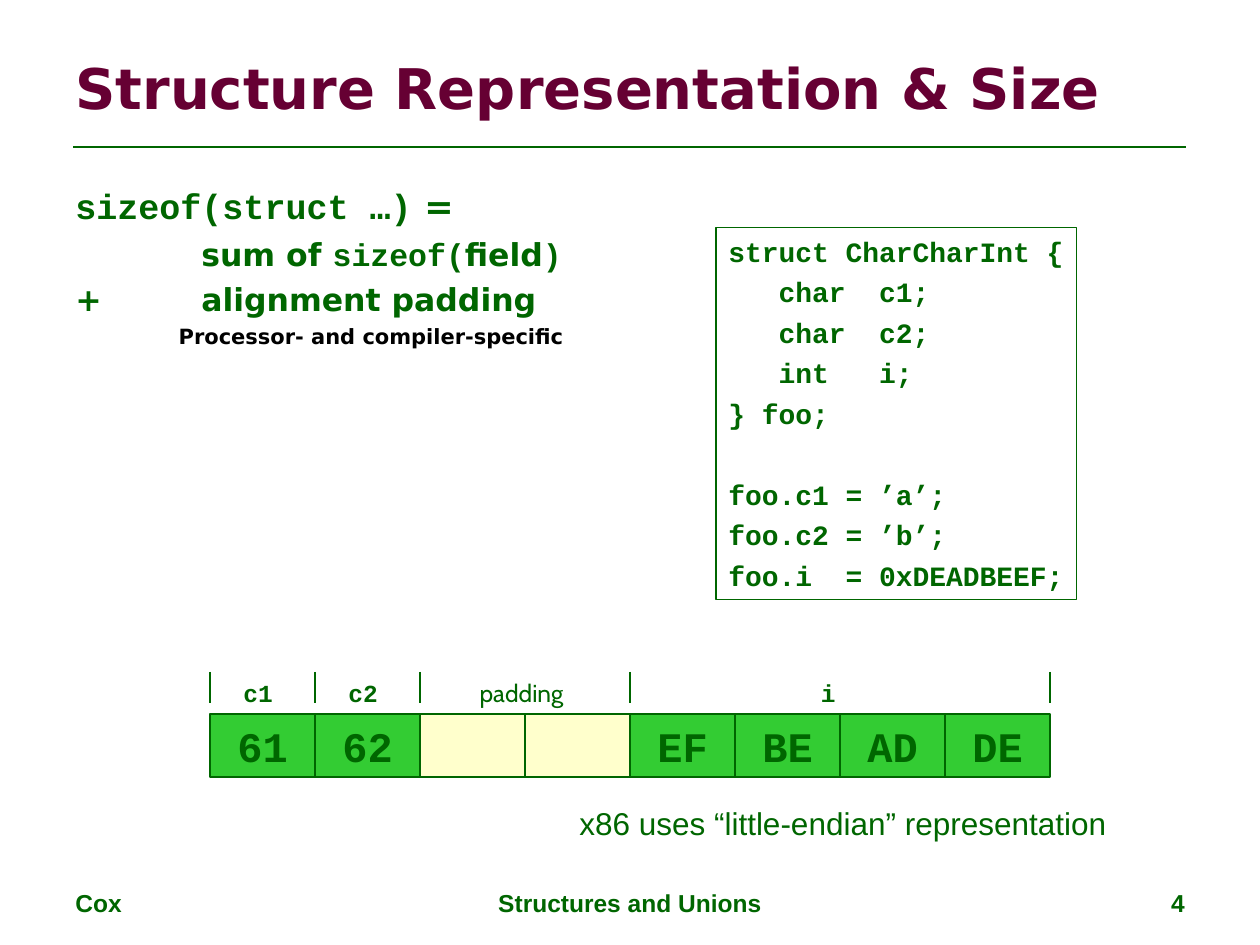
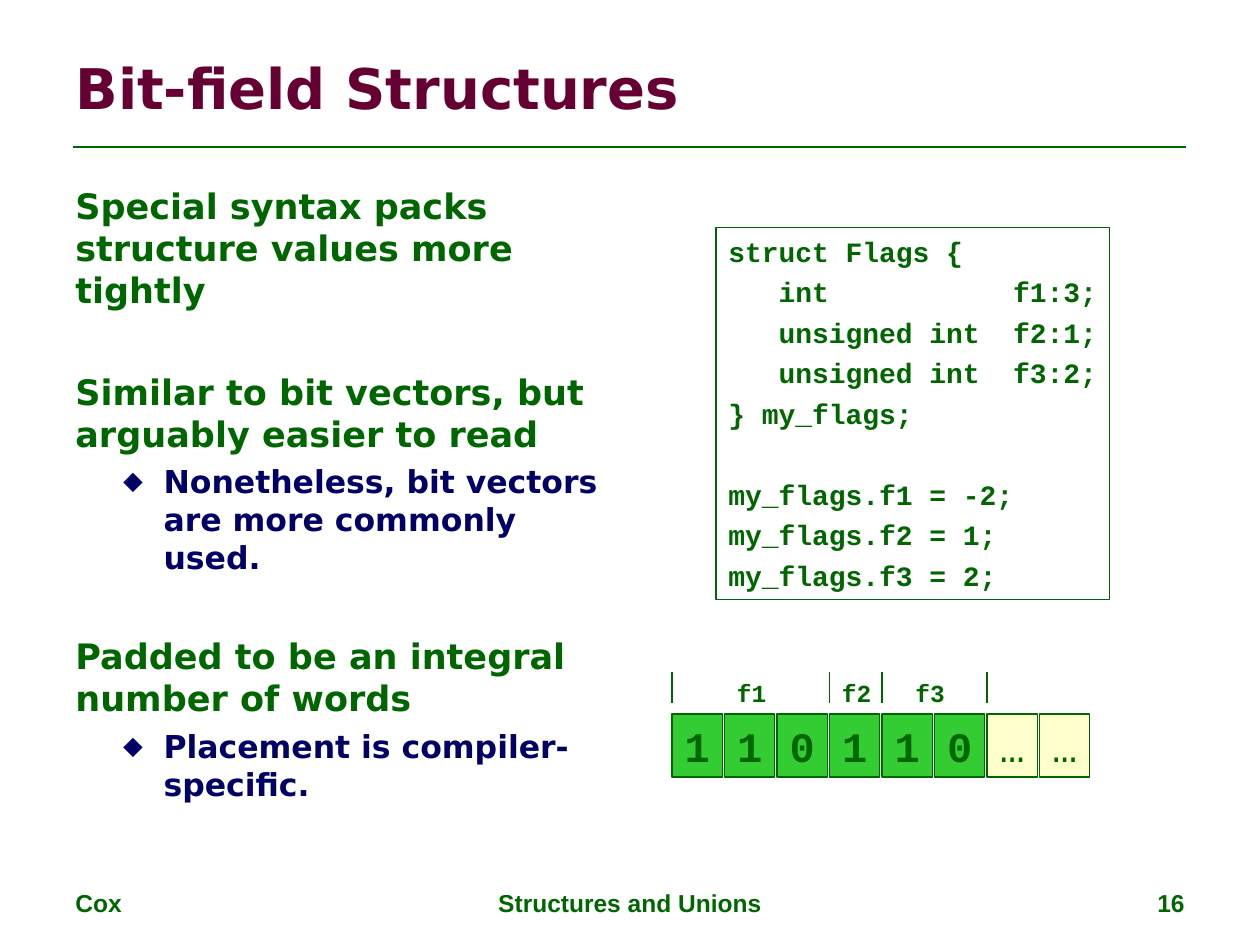
from dataclasses import dataclass

from lxml.etree import SubElement
from pptx import Presentation
from pptx.dml.color import RGBColor
from pptx.enum.shapes import MSO_CONNECTOR, MSO_SHAPE
from pptx.enum.text import MSO_ANCHOR, PP_ALIGN
from pptx.oxml.ns import qn
from pptx.util import Inches, Pt


@dataclass(frozen=True)
class Theme:
    green: str = "006600"
    maroon: str = "660033"
    navy: str = "000066"
    black: str = "000000"
    used: str = "33CC33"
    unused: str = "FFFFCC"
    sans: str = "DejaVu Sans"
    mono: str = "Courier New"
    plain: str = "Arial"
    casual: str = "Cabin"
    title: int = 32
    cell: int = 24
    body: int = 20
    sub: int = 18
    code: int = 16
    label: int = 14
    detail: int = 12


T = Theme()
COLS, ROWS = 120, 90  # a grid of twelve units to the inch
CELL_ROW, CELL_ROWS = 68, 6
TICK_TOP, TICK_BOTTOM = 64, 67
CODE_GAP = 4  # points between lines of code
BLANK_LINE = 27  # points before code that follows a skipped line
BODY_GAP = 34  # points before a new body topic


def units(n):
    return Inches(n / 12)


def style(p, size, color=T.green, font=T.sans, bold=True):
    for r in p.runs:
        r.font.name = font
        r.font.size = Pt(size)
        r.font.bold = bold
        r.font.color.rgb = RGBColor.from_string(color)


def add_text_box(slide, x, y, w, h, wrap=True):
    tf = slide.shapes.add_textbox(*map(units, (x, y, w, h))).text_frame
    tf.word_wrap = wrap
    return tf


def add_label(slide, text, box, size, align=PP_ALIGN.LEFT, wrap=True, **look):
    tf = add_text_box(slide, *box, wrap=wrap)
    p = tf.paragraphs[0]
    p.text = text
    p.alignment = align
    style(p, size, **look)
    return tf


def add_rect(slide, x, y, w, h, fill=None):
    sp = slide.shapes.add_shape(MSO_SHAPE.RECTANGLE, *map(units, (x, y, w, h)))
    sp.shadow.inherit = False
    if fill:
        sp.fill.solid()
        sp.fill.fore_color.rgb = RGBColor.from_string(fill)
    else:
        sp.fill.background()
    sp.line.color.rgb = RGBColor.from_string(T.green)
    sp.line.width = Pt(0.75)
    return sp


def add_line(slide, x1, y1, x2, y2, width=0.75):
    line = slide.shapes.add_connector(
        MSO_CONNECTOR.STRAIGHT, *map(units, (x1, y1, x2, y2)))
    line.line.color.rgb = RGBColor.from_string(T.green)
    line.line.width = Pt(width)
    SubElement(line._element.spPr, qn("a:effectLst"))


def next_paragraph(tf):
    first = tf.paragraphs[0]
    return tf.add_paragraph() if first.runs else first


def add_point(tf, text, before=5):
    p = next_paragraph(tf)
    p.text = text
    p.space_before = Pt(before)
    style(p, T.body)


def add_sub_point(tf, text):
    p = next_paragraph(tf)
    p.text = text
    p.space_before = Pt(4.5)
    style(p, T.sub, T.navy)
    pPr = p._p.get_or_add_pPr()
    pPr.set("marL", str(Inches(0.7)))
    pPr.set("indent", str(Inches(-0.32)))
    SubElement(SubElement(pPr, qn("a:buClr")), qn("a:srgbClr"), val=T.navy)
    SubElement(pPr, qn("a:buSzPct"), val="90000")
    SubElement(pPr, qn("a:buFont"), typeface=T.sans)
    SubElement(pPr, qn("a:buChar"), char="⬥")


def add_mixed(tf, parts, size, before):
    """Add a paragraph of (text, font) parts with a tab stop at one inch."""
    p = next_paragraph(tf)
    p.space_before = Pt(before)
    tabs = SubElement(p._p.get_or_add_pPr(), qn("a:tabLst"))
    SubElement(tabs, qn("a:tab"), pos=str(Inches(1)), algn="l")
    for text, _ in parts:
        p.add_run().text = text
    style(p, size)
    for r, (_, font) in zip(p.runs, parts):
        r.font.name = font


def add_code(slide, width, declaration, assignments):
    sp = add_rect(slide, 68.2, 21.7, width, 35.4)
    tf = sp.text_frame
    tf.word_wrap = False
    tf.vertical_anchor = MSO_ANCHOR.TOP
    for block in (declaration, assignments):
        for i, text in enumerate(block):
            p = next_paragraph(tf)
            p.text = text
            p.alignment = PP_ALIGN.LEFT
            new_block = block is assignments and i == 0
            p.space_before = Pt(BLANK_LINE if new_block else CODE_GAP)
            style(p, T.code, font=T.mono)


def add_memory(slide, left, pitch, width, cells, ticks, labels):
    """Draw a row of cells; ticks and (text, column, font) labels count cells."""
    for i, text in enumerate(cells):
        is_used = text not in ("", "…")
        sp = add_rect(slide, left + i * pitch, CELL_ROW, width, CELL_ROWS,
                      T.used if is_used else T.unused)
        if text:
            tf = sp.text_frame
            tf.vertical_anchor = MSO_ANCHOR.MIDDLE
            p = tf.paragraphs[0]
            p.text = text
            p.alignment = PP_ALIGN.CENTER
            style(p, T.cell, font=T.mono, bold=is_used)
    for column in ticks:
        x = left + column * pitch
        add_line(slide, x, TICK_TOP, x, TICK_BOTTOM)
    for text, column, font in labels:
        box = (left + column * pitch, TICK_TOP, 2.4 + 1.4 * len(text), 4)
        add_label(slide, text, box, T.label, wrap=False, font=font,
                  bold=font == T.mono)


def add_base(prs, title, number):
    """Add a slide with its title, rule and footer."""
    slide = prs.slides.add_slide(prs.slide_layouts[6])
    add_line(slide, 7, 14, COLS - 7, 14, 1.5)
    for text, x, w, align in (
            ("Cox", 6, 28, PP_ALIGN.LEFT),
            ("Structures and Unions", 41, 38, PP_ALIGN.CENTER),
            (str(number), 86, 28, PP_ALIGN.RIGHT)):
        add_label(slide, text, (x, 84, w, 4.2), T.label, align, font=T.plain)
    tf = add_label(slide, title, (6, 3.6, COLS - 12, 9.4), T.title,
                   color=T.maroon)
    tf.vertical_anchor = MSO_ANCHOR.MIDDLE
    return slide


def add_representation_slide(prs):
    slide = add_base(prs, "Structure Representation & Size", 4)
    tf = add_text_box(slide, 6, 17, 53, 17.8)
    add_mixed(tf, [("sizeof(struct …)", T.mono), (" =", T.sans)], T.body, 5)
    add_mixed(tf, [("\tsum of ", T.sans), ("sizeof(", T.mono),
                   ("field", T.sans), (")", T.mono)], T.sub, 4.5)
    add_mixed(tf, [("+\talignment padding", T.sans)], T.sub, 4.5)
    p = next_paragraph(tf)
    p.text = "Processor- and compiler-specific"
    p.space_before = Pt(3)
    p._p.get_or_add_pPr().set("marL", str(Inches(0.82)))
    style(p, T.detail, T.black)

    add_memory(slide, 20, 10, 10,
               ["61", "62", "", "", "EF", "BE", "AD", "DE"],
               (0, 1, 2, 4, 8),
               [("c1", 0.2, T.mono), ("c2", 1.2, T.mono),
                ("i", 5.7, T.mono), ("padding", 2.45, T.casual)])
    add_code(slide, 34.3,
             ["struct CharCharInt {", "   char  c1;", "   char  c2;",
              "   int   i;", "} foo;"],
             ["foo.c1 = ’a’;", "foo.c2 = ’b’;", "foo.i  = 0xDEADBEEF;"])
    add_label(slide, "x86 uses “little-endian” representation",
              (54, 76, 52.6, 4.8), T.sub, wrap=False, font=T.plain, bold=False)


def add_bit_field_slide(prs):
    slide = add_base(prs, "Bit-field Structures", 16)
    tf = add_text_box(slide, 6, 17, 53, 63.4)
    add_point(tf, "Special syntax packs structure values more tightly")
    add_point(tf, "Similar to bit vectors, but arguably easier to read",
              BODY_GAP)
    add_sub_point(tf, "Nonetheless, bit vectors are more commonly used.")
    add_point(tf, "Padded to be an integral number of words", BODY_GAP)
    add_sub_point(tf, "Placement is compiler-specific.")

    add_memory(slide, 64, 5, 4.8, "110110……", (0, 3, 4, 6),
               [("f1", 1, T.mono), ("f2", 3, T.mono), ("f3", 4.4, T.mono)])
    add_code(slide, 37.5,
             ["struct Flags {", "   int           f1:3;",
              "   unsigned int  f2:1;", "   unsigned int  f3:2;",
              "} my_flags;"],
             ["my_flags.f1 = -2;", "my_flags.f2 = 1;", "my_flags.f3 = 2;"])


def main():
    prs = Presentation()
    prs.slide_width, prs.slide_height = units(COLS), units(ROWS)
    add_representation_slide(prs)
    add_bit_field_slide(prs)
    prs.save("out.pptx")


if __name__ == "__main__":
    main()
